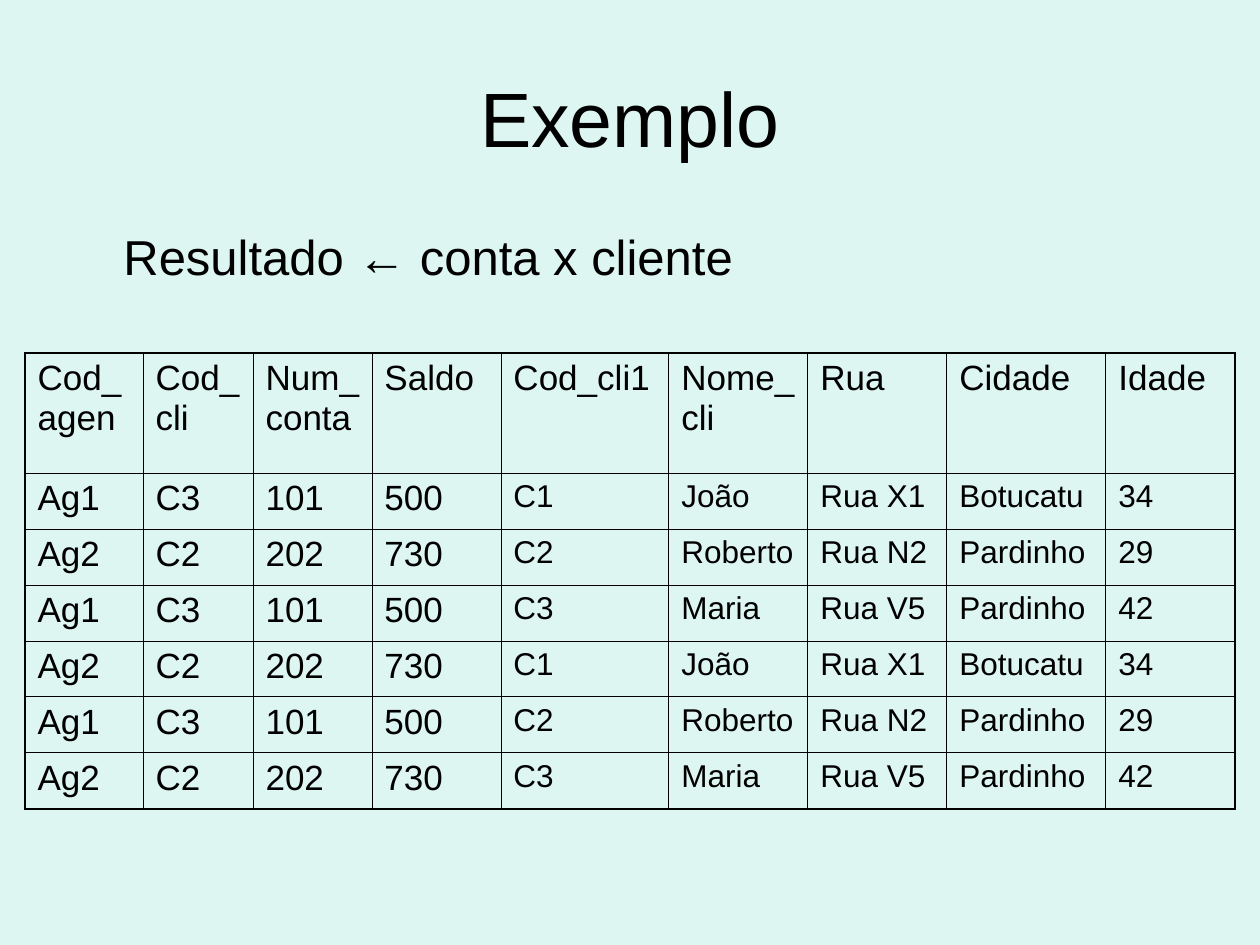
from lxml import etree
from pptx import Presentation
from pptx import util as u
from pptx.dml.color import RGBColor
from pptx.enum import text
from pptx.oxml.ns import qn

TITLE = "Exemplo"
EXPRESSION = "Resultado ← conta x cliente"
HEADER = ["Cod_agen", "Cod_cli", "Num_conta", "Saldo", "Cod_cli1",
          "Nome_cli", "Rua", "Cidade", "Idade"]
ACCOUNTS = [("Ag1", "C3", "101", "500"), ("Ag2", "C2", "202", "730")]
CLIENTS = [("C1", "João", "Rua X1", "Botucatu", "34"),
           ("C2", "Roberto", "Rua N2", "Pardinho", "29"),
           ("C3", "Maria", "Rua V5", "Pardinho", "42")]
ROWS = [HEADER] + [ACCOUNTS[i % 2] + CLIENTS[i % 3] for i in range(6)]

COLUMN_WIDTHS = [118, 110, 119, 129, 168, 139, 139, 159, 129]
ROW_HEIGHTS = [120] + [56] * 6
TABLE_LEFT, TABLE_TOP = 25, 353
BACKGROUND, BLACK = "DEF6F1", "000000"
INNER_LINE, OUTER_LINE = 0.45, 1.08


def px(length):
    return u.Emu(round(length * 914400 / 126))


def color(value):
    return RGBColor.from_string(value)


def write(frame, words, size, align=text.PP_ALIGN.LEFT, indent=0):
    para = frame.paragraphs[0]
    para.alignment = align
    if indent:
        para._p.get_or_add_pPr().set("marL", str(px(indent)))
    span = para.add_run()
    span.text = words
    span.font.name = "Arial"
    span.font.size = u.Pt(size)
    span.font.color.rgb = color(BLACK)


def add_text(page, words, place, size, anchor=text.MSO_ANCHOR.TOP, **style):
    box = page.shapes.add_textbox(*map(px, place))
    frame = box.text_frame
    frame.word_wrap = True
    frame.vertical_anchor = anchor
    write(frame, words, size, **style)


def set_borders(cell, widths):
    """Draw the left, right, top and bottom lines, with widths in points."""
    properties = cell._tc.get_or_add_tcPr()
    for side, width in zip("LRTB", widths):
        line = etree.SubElement(properties, qn(f"a:ln{side}"), w=str(u.Pt(width)))
        fill = etree.SubElement(line, qn("a:solidFill"))
        etree.SubElement(fill, qn("a:srgbClr"), val=BLACK)


def add_result_table(page):
    last_row, last_column = len(ROWS) - 1, len(HEADER) - 1
    size = sum(COLUMN_WIDTHS), sum(ROW_HEIGHTS)
    table = page.shapes.add_table(len(ROWS), len(HEADER),
                                  *map(px, (TABLE_LEFT, TABLE_TOP, *size))).table
    table.first_row = table.horz_banding = False
    for column, width in zip(table.columns, COLUMN_WIDTHS):
        column.width = px(width)
    for row, height in zip(table.rows, ROW_HEIGHTS):
        row.height = px(height)
    for r, values in enumerate(ROWS):
        for c, value in enumerate(values):
            cell = table.cell(r, c)
            is_client = r > 0 and c >= len(ACCOUNTS[0])
            write(cell.text_frame, value, 18 if is_client else 20)
            on_edge = c == 0, c == last_column, r == 0, r == last_row
            set_borders(cell, [OUTER_LINE if edge else INNER_LINE for edge in on_edge])
            cell.fill.background()


def main():
    deck = Presentation()
    deck.slide_width, deck.slide_height = px(1260), px(945)
    page = deck.slides.add_slide(deck.slide_layouts[6])
    page.background.fill.solid()
    page.background.fill.fore_color.rgb = color(BACKGROUND)
    add_text(page, TITLE, (63, 38, 1134, 157), 44,
             anchor=text.MSO_ANCHOR.MIDDLE, align=text.PP_ALIGN.CENTER)
    add_text(page, EXPRESSION, (63, 220, 1103, 103), 28, indent=48)
    add_result_table(page)
    deck.save("out.pptx")


if __name__ == "__main__":
    main()
